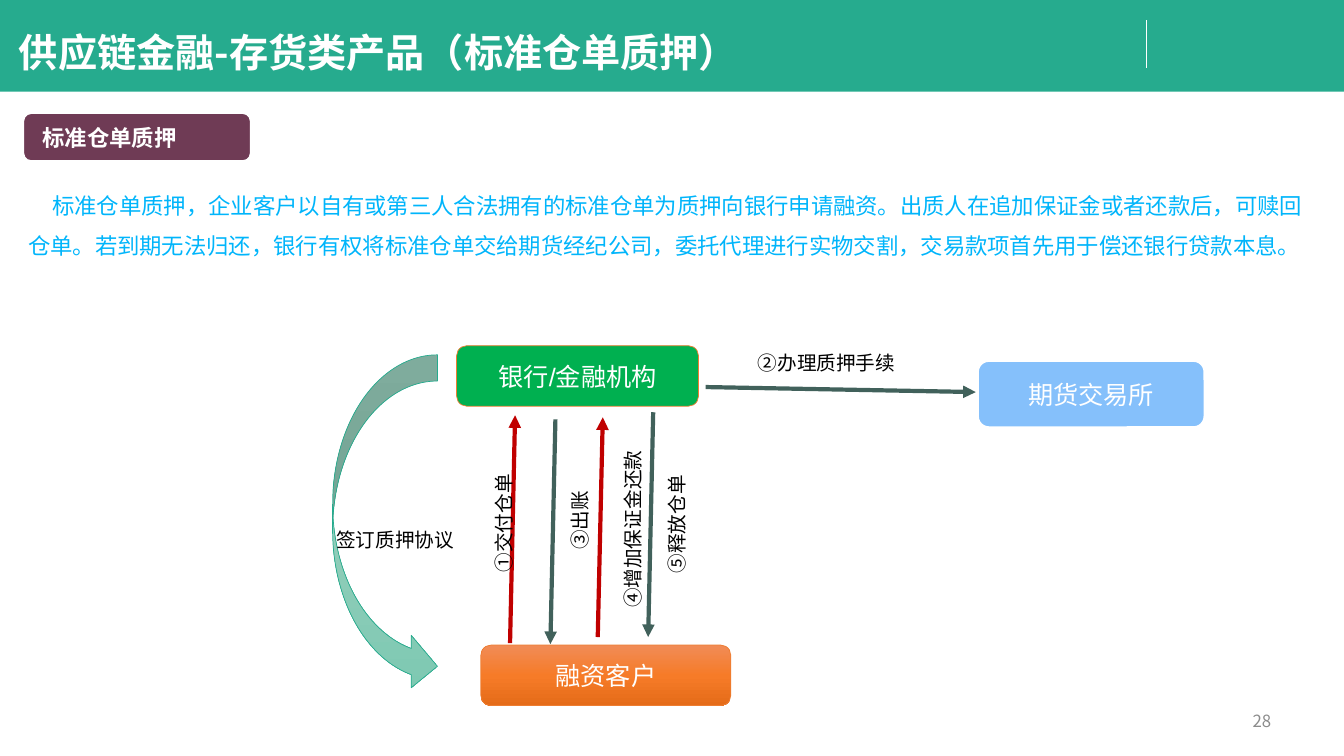
from dataclasses import dataclass

from lxml.etree import SubElement
from pptx import Presentation
from pptx.dml.color import RGBColor
from pptx.enum.shapes import MSO_CONNECTOR, MSO_SHAPE
from pptx.enum.text import MSO_ANCHOR, PP_ALIGN
from pptx.oxml.ns import qn
from pptx.util import Inches, Pt

CELL = Inches(0.1)  # grid step
COLS, ROWS = 133.33, 75


@dataclass(frozen=True)
class Theme:
    white: str = "FFFFFF"
    black: str = "000000"
    green: str = "26AB8E"
    plum: str = "6F3B55"
    sky: str = "00B5FB"
    gray: str = "8C8C8C"
    bank: str = "00B050"
    market: str = "85C0FB"
    edge: str = "ED7D31"
    red: str = "C00000"
    slate: str = "41615B"
    client: tuple = ("F18C57", "F67B28", "E56C19")
    mint: tuple = ("9FD7C5", "92CDBA", "7EC9B2")
    sans: str = "Noto Sans CJK SC"
    plain: str = "Arial"
    title: int = 28
    node: int = 18
    body: int = 16
    label: int = 14
    small: int = 12


T = Theme()


@dataclass(frozen=True)
class Box:
    x: float
    y: float
    w: float
    h: float

    def sub(self, x, y, w, h):
        return Box(self.x + x, self.y + y, w, h)

    def emu(self):
        return [round(n * CELL) for n in (self.x, self.y, self.w, self.h)]


def write(shape, text, size, color, font=T.plain, bold=False,
          align=PP_ALIGN.LEFT, anchor=MSO_ANCHOR.MIDDLE, wrap=True, space=1.0):
    frame = shape.text_frame
    frame.text = text
    frame.word_wrap = wrap
    frame.vertical_anchor = anchor
    para = frame.paragraphs[0]
    para.alignment = align
    para.line_spacing = space
    run = para.runs[0]
    run.font.size = Pt(size)
    run.font.bold = bold
    run.font.color.rgb = RGBColor.from_string(color)
    run.font.name = font
    SubElement(run._r.get_or_add_rPr(), qn("a:ea")).set("typeface", font)
    return para


def add_text(slide, box, *args, **opts):
    return write(slide.shapes.add_textbox(*box.emu()), *args, **opts)


def blend(shape, colors):
    """Fill from top to bottom through evenly spaced colours."""
    shape.fill.gradient()
    shape.fill.gradient_angle = 270
    stops = shape._element.spPr.find(qn("a:gradFill")).find(qn("a:gsLst"))
    for old in list(stops):
        stops.remove(old)
    for i, color in enumerate(colors):
        stop = SubElement(stops, qn("a:gs"))
        stop.set("pos", str(100000 * i // (len(colors) - 1)))
        SubElement(stop, qn("a:srgbClr")).set("val", color)


def add_block(slide, box, kind, fill, line=None, width=0.5):
    shape = slide.shapes.add_shape(kind, *box.emu())
    shape.shadow.inherit = False
    if isinstance(fill, tuple):
        blend(shape, fill)
    else:
        shape.fill.solid()
        shape.fill.fore_color.rgb = RGBColor.from_string(fill)
    if line:
        shape.line.color.rgb = RGBColor.from_string(line)
        shape.line.width = Pt(width)
    else:
        shape.line.fill.background()
    return shape


def add_line(slide, box, start, end, color, width, arrow=False):
    ends = [round(n * CELL) for x, y in (start, end)
            for n in (box.x + x, box.y + y)]
    line = slide.shapes.add_connector(MSO_CONNECTOR.STRAIGHT, *ends)
    line.line.color.rgb = RGBColor.from_string(color)
    line.line.width = Pt(width)
    if arrow:
        SubElement(line.line._get_or_add_ln(), qn("a:tailEnd")).set("type", "triangle")
    SubElement(line._element.spPr, qn("a:effectLst"))


def header(slide, box):
    add_block(slide, box, MSO_SHAPE.RECTANGLE, T.green)
    add_line(slide, box, (113.7, 2), (113.7, 6.7), T.white, 0.5)
    add_text(slide, box.sub(0.9, 1.6, 95.7, 7.1), "供应链金融-存货类产品（标准仓单质押）",
             T.title, T.white, T.sans, bold=True)


def intro(slide, box):
    # Section tag
    tag = add_block(slide, box.sub(0.5, 0, 22.6, 4.8),
                    MSO_SHAPE.ROUNDED_RECTANGLE, T.plum, T.white, 1.5)
    write(tag, "标准仓单质押", T.body, T.white, T.sans, bold=True)
    tag.text_frame.margin_left = round(1.7 * CELL)
    # Explanation
    para = add_text(
        slide, box.sub(0, 6, box.w, 9.1),
        "标准仓单质押，企业客户以自有或第三人合法拥有的标准仓单为质押向银行申请融资。"
        "出质人在追加保证金或者还款后，可赎回仓单。若到期无法归还，银行有权将标准仓单"
        "交给期货经纪公司，委托代理进行实物交割，交易款项首先用于偿还银行贷款本息。",
        T.body, T.sky, anchor=MSO_ANCHOR.TOP, space=1.5)
    para._p.get_or_add_pPr().set("indent", str(round(2.4 * CELL)))


def diagram(slide, box):
    # Pledge agreement arrow
    add_block(slide, box.sub(3, 5.2, 10.4, 33.5),
              MSO_SHAPE.CURVED_RIGHT_ARROW, T.mint, T.green)

    # Parties
    nodes = [
        ("银行/金融机构", (15.3, 4.3, 24, 6), T.bank, T.edge, 0.5),
        ("期货交易所", (67, 5.8, 22.5, 6.6), T.market, T.white, 1.5),
        ("融资客户", (17.7, 34, 24.8, 6), T.client, T.edge, 0.5),
    ]
    for text, spot, fill, line, width in nodes:
        node = add_block(slide, box.sub(*spot),
                         MSO_SHAPE.FLOWCHART_ALTERNATE_PROCESS, fill, line, width)
        write(node, text, T.node, T.white, align=PP_ALIGN.CENTER)

    # Flows between client and bank: foot x, foot y, top y, upward
    flows = [(20.6, 33.8, 11.2, True), (24.6, 33.9, 11.6, False),
             (29.3, 33.2, 11.4, True), (34.3, 33.2, 10.9, False)]
    lean = 0.5
    for x, low, high, up in flows:
        foot, top = (x, low), (x + lean, high)
        start, end = (foot, top) if up else (top, foot)
        add_line(slide, box, start, end, T.red if up else T.slate, 3, arrow=True)
    add_line(slide, box, (40, 8.4), (66.8, 8.9), T.slate, 3, arrow=True)

    # Step labels: centre x, centre y, width, turn
    steps = [
        ("签订质押协议", 9.2, 22.7, 28.6, 0),
        ("①交付仓单", 19.1, 21.9, 20.1, 270),
        ("②办理质押手续", 52, 5.1, 15.8, 0),
        ("③出账", 26.6, 21.6, 20.1, 270),
        ("④增加保证金还款", 31.9, 22.5, 22.2, 270),
        ("⑤释放仓单", 36.3, 22, 11.8, 270),
    ]
    tall = 4.4
    for text, x, y, wide, turn in steps:
        spot = box.sub(x - wide / 2, y - tall / 2, wide, tall)
        label = slide.shapes.add_textbox(*spot.emu())
        label.rotation = turn
        write(label, text, T.label, T.black, align=PP_ALIGN.CENTER,
              anchor=MSO_ANCHOR.TOP, wrap=False, space=1.6)


def footer(slide, box):
    add_text(slide, box, "28", T.small, T.gray, T.sans, align=PP_ALIGN.RIGHT)


def main():
    deck = Presentation()
    deck.slide_width = round(COLS * CELL)
    deck.slide_height = ROWS * CELL
    slide = deck.slides.add_slide(deck.slide_layouts[6])
    header(slide, Box(0, 0, COLS, 9.1))
    intro(slide, Box(1.8, 11.2, 129.8, 15.1))
    diagram(slide, Box(30, 30, 90, 40))
    footer(slide, Box(114.6, 69.5, 12.5, 4))
    deck.save("out.pptx")


if __name__ == "__main__":
    main()
